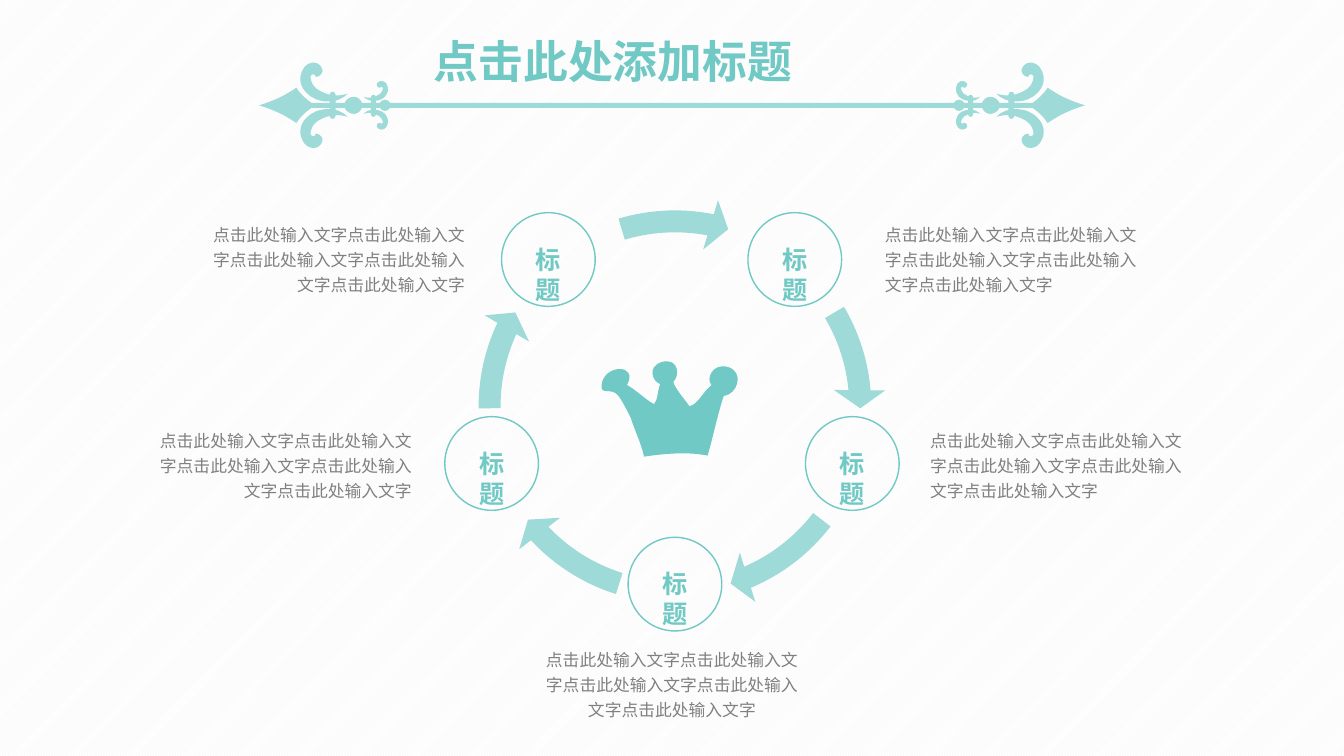
import dataclasses
import typing

import lxml.etree
import pptx
import pptx.dml.color
import pptx.enum.dml
import pptx.enum.shapes
import pptx.enum.text
import pptx.oxml.ns
import pptx.shapes.autoshape
import pptx.shapes.shapetree
import pptx.util

Cm = pptx.util.Cm
qn = pptx.oxml.ns.qn
Kind = pptx.enum.shapes.MSO_SHAPE
Align = pptx.enum.text.PP_ALIGN
Point = tuple[float, float]
Contour = list[Point]
Shapes = pptx.shapes.shapetree.GroupShapes | pptx.shapes.shapetree.SlideShapes
Shape = pptx.shapes.autoshape.Shape

TEAL = "70C9C4"
PALE_TEAL = "9EDAD7"
GRAY = "808080"
CAPTION_TEXT = "点击此处输入文字" * 5
UNIT = 0.0254
MIRROR_WIDTH = 1333.5
MIRROR_HEIGHT = 209
RING = (11.69, 4.93, 10.64, 10.64)
BADGE_SIZE = 2.36

CROWN = [
    (626, 415), (630, 428), (636, 439), (639, 453), (660, 450), (682, 448), (702, 452),
    (708, 432), (712, 411), (718, 393), (732, 391), (739, 369), (722, 364),
    (707, 360), (700, 376), (706, 382), (697, 389), (693, 401), (684, 403),
    (680, 397), (670, 386), (668, 379), (675, 372), (673, 355), (657, 359),
    (641, 364), (648, 379), (655, 381), (652, 389), (653, 396), (649, 401),
    (641, 397), (630, 386), (622, 382), (634, 361), (600, 361), (597, 381),
    (595, 393), (606, 384), (613, 392), (618, 398), (626, 415), (626, 415),
]
LARGE_SCROLL = [
    (313, 76), (313, 73), (309, 73), (308, 76), (308, 80), (310, 87), (319, 91),
    (327, 95), (335, 96), (345, 93), (335, 104), (314, 103), (304, 92),
    (298, 86), (296, 78), (300, 70), (302, 65), (308, 60), (315, 63),
    (319, 65), (320, 69), (320, 71), (319, 74), (316, 77), (313, 76),
]
SMALL_SCROLL = [
    (377, 87), (378, 86), (379, 86), (380, 87), (380, 89), (379, 93), (374, 95),
    (370, 97), (366, 98), (361, 96), (366, 102), (377, 101), (382, 96),
    (385, 92), (386, 89), (384, 84), (383, 82), (380, 79), (376, 81),
    (374, 82), (373, 84), (374, 85), (374, 86), (376, 88), (377, 87),
]
ROD_QUARTER = [
    (257, 104.5), (271, 100), (281, 96), (294, 87), (298, 93), (303, 98), (309, 102),
    (317, 102), (334, 102), (342, 102), (343, 99), (347, 96), (351, 96),
    (355, 96), (358, 99), (359, 102), (365, 102), (371, 102), (377, 102),
    (378, 100), (380, 99), (382, 99), (384, 99), (386, 100), (387, 102),
    (404, 102), (421, 102), (438, 102),
]


@dataclasses.dataclass
class Badge:
    left: float
    top: float


@dataclasses.dataclass
class Caption:
    left: float
    top: float
    align: Align


@dataclasses.dataclass
class Bar:
    left: float
    top: float
    width: float
    height: float

    def contour(self) -> Contour:
        right, bottom = self.left + self.width, self.top + self.height
        middle, bend = self.left + self.width / 2, self.width / 2
        high, low = self.top + bend, bottom - bend
        return [
            (self.left, low), (self.left, high), (self.left, high), (self.left, high),
            (self.left, self.top + 1), (middle - 1, self.top), (middle, self.top),
            (middle + 1, self.top), (right, self.top + 1), (right, high),
            (right, low), (right, low), (right, low),
            (right, bottom - 1), (middle + 1, bottom), (middle, bottom),
            (middle - 1, bottom), (self.left, bottom - 1), (self.left, low),
        ]


BADGES = [Badge(12.64, 5.36), Badge(18.85, 5.36), Badge(20.3, 10.5),
          Badge(11.21, 10.5), Badge(15.83, 13.54)]
CAPTIONS = [
    Caption(22.05, 5.41, Align.LEFT),
    Caption(5.06, 5.41, Align.RIGHT),
    Caption(3.72, 10.59, Align.RIGHT),
    Caption(23.19, 10.59, Align.LEFT),
    Caption(13.48, 16.12, Align.CENTER),
]
ARROW_ANGLES = [
    (212.93, 197.66), (40.15, 22.54), (82.11, 64.49), (122.98, 107.71), (168.66, 151.98),
]
BARS = [Bar(327, 91, 6, 27), Bar(368, 94, 5, 22)]


def color(value: str) -> pptx.dml.color.RGBColor:
    return pptx.dml.color.RGBColor.from_string(value)


def set_format(target: typing.Any, values: dict[str, typing.Any]) -> None:
    for name, value in values.items():
        setattr(target, name, value)


def paint(shape: Shape, fill: str) -> None:
    shape.shadow.inherit = False
    shape.fill.solid()
    shape.fill.fore_color.rgb = color(fill)
    shape.line.fill.background()


def add_text(shapes: Shapes, frame: tuple[float, ...], text: str, size: float, hue: str,
             paragraph: dict[str, typing.Any], bold: bool = False, wrap: bool = True) -> None:
    box = shapes.add_textbox(*map(Cm, frame))
    set_format(box.text_frame, {
        "word_wrap": wrap,
        "auto_size": pptx.enum.text.MSO_AUTO_SIZE.SHAPE_TO_FIT_TEXT,
    })
    para = box.text_frame.paragraphs[0]
    set_format(para, paragraph)
    span = para.add_run()
    span.text = text
    set_format(span.font, {"name": "Calibri", "size": pptx.util.Pt(size), "bold": bold})
    span.font.color.rgb = color(hue)


def mirror_x(points: Contour) -> Contour:
    return [(MIRROR_WIDTH - x, y) for x, y in points]


def mirror_y(points: Contour) -> Contour:
    return [(x, MIRROR_HEIGHT - y) for x, y in points]


def add_outline(shapes: Shapes, contours: list[Contour], fill: str) -> None:
    scaled = [[(Cm(x * UNIT), Cm(y * UNIT)) for x, y in contour] for contour in contours]
    builder = shapes.build_freeform(*scaled[0][0], scale=1.0)
    for index, contour in enumerate(scaled):
        if index:
            builder.move_to(*contour[0])
        builder.add_line_segments(contour[3::3], close=True)
    shape = builder.convert_to_shape()
    curves = [contour[start:start + 3] for contour in scaled
              for start in range(1, len(contour), 3)]
    segments = list(shape.element.iter(qn("a:lnTo")))
    for segment, curve in zip(segments, curves):
        bezier = lxml.etree.Element(qn("a:cubicBezTo"))
        for x, y in curve:
            lxml.etree.SubElement(bezier, qn("a:pt"),
                                  x=str(x - shape.left), y=str(y - shape.top))
        segment.getparent().replace(segment, bezier)
    paint(shape, fill)


def add_ornament(shapes: Shapes) -> None:
    far_quarter = mirror_x(ROD_QUARTER)[::-1]
    upper = ROD_QUARTER + [ROD_QUARTER[-1], far_quarter[0]] + far_quarter
    lower = mirror_y(upper)[::-1]
    large, small = ([curve, mirror_y(curve)] for curve in (LARGE_SCROLL, SMALL_SCROLL))
    inner, outer = ([bar.contour()] for bar in BARS)
    left_side = [large, inner, small, outer]
    right_side = [[mirror_x(contour) for contour in part] for part in left_side]
    for part in [large, [upper + lower[1:]], *left_side[1:], *right_side]:
        add_outline(shapes, part, PALE_TEAL)


def add_arrow(shapes: Shapes, end: float, start: float) -> None:
    arrow = shapes.add_shape(Kind.CIRCULAR_ARROW, *map(Cm, RING))
    for index, value in enumerate((0.052, 3.359, end, start, 0.061)):
        arrow.adjustments[index] = value
    paint(arrow, PALE_TEAL)


def add_badge(shapes: Shapes, badge: Badge) -> None:
    circle = shapes.add_shape(Kind.OVAL, Cm(badge.left), Cm(badge.top),
                              Cm(BADGE_SIZE), Cm(BADGE_SIZE))
    circle.shadow.inherit = False
    circle.fill.background()
    circle.line.color.rgb = color(TEAL)
    circle.line.width = pptx.util.Pt(1)
    add_text(shapes, (badge.left + 0.35, badge.top + 0.66, 1.67, 0.97), "标题", 18, TEAL,
             {"alignment": Align.CENTER}, bold=True, wrap=False)


def main() -> None:
    deck = pptx.Presentation()
    set_format(deck, {"slide_width": Cm(33.87), "slide_height": Cm(19.05)})
    page = deck.slides.add_slide(deck.slide_layouts[6])
    backdrop = page.background.fill
    backdrop.patterned()
    backdrop.pattern = pptx.enum.dml.MSO_PATTERN.DARK_UPWARD_DIAGONAL
    backdrop.fore_color.rgb = color("F2F2F2")
    backdrop.back_color.rgb = color("FFFFFF")
    for caption in CAPTIONS:
        add_text(page.shapes, (caption.left, caption.top, 6.91, 2.18), CAPTION_TEXT,
                 12, GRAY, {"alignment": caption.align, "line_spacing": 1.25})
    for end, start in ARROW_ANGLES:
        add_arrow(page.shapes, end, start)
    for badge in BADGES:
        add_badge(page.shapes.add_group_shape().shapes, badge)
    add_outline(page.shapes, [CROWN], TEAL)
    add_text(page.shapes, (10.68, 0.72, 12.52, 1.63), "点击此处添加标题", 32, TEAL,
             {"alignment": Align.JUSTIFY}, bold=True)
    add_ornament(page.shapes.add_group_shape().shapes)
    deck.save("out.pptx")


if __name__ == "__main__":
    main()
